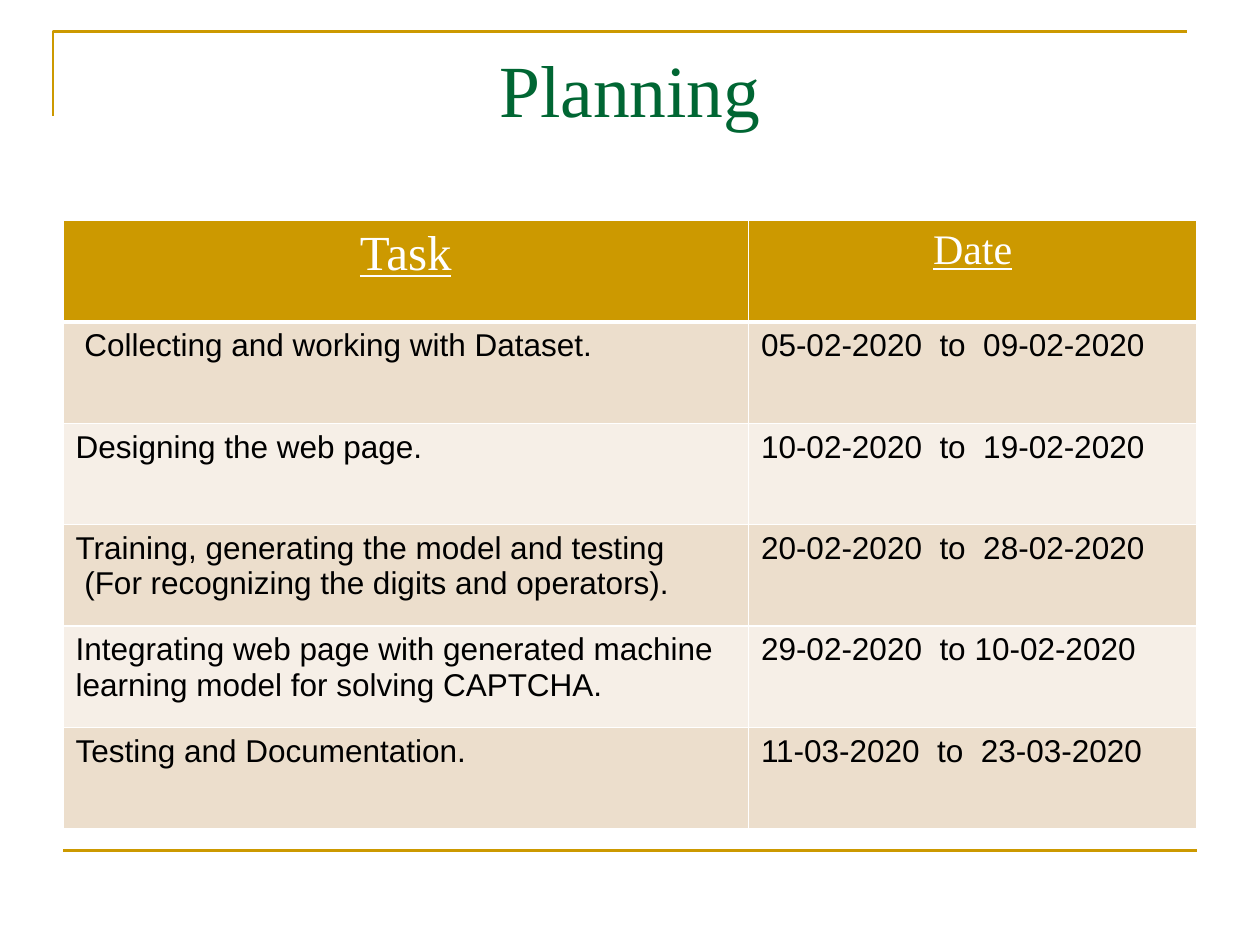
import pptx
import pptx.dml.color
import pptx.enum.shapes
import pptx.enum.text
import pptx.oxml
import pptx.oxml.ns
import pptx.util
from pptx.util import Inches

COLORS = {
    "gold": "CC9900",
    "green": "006633",
    "white": "FFFFFF",
    "black": "000000",
    "sand": "ECDECC",
    "cream": "F6EFE7",
}
SERIF, SANS = "Times New Roman", "Arial"
CENTER = pptx.enum.text.PP_ALIGN.CENTER
LEFT = pptx.enum.text.PP_ALIGN.LEFT

SCHEDULE = [
    (" Collecting and working with Dataset.", "05-02-2020  to  09-02-2020"),
    ("Designing the web page.", "10-02-2020  to  19-02-2020"),
    ("Training, generating the model and testing\n (For recognizing the digits and operators).",
     "20-02-2020  to  28-02-2020"),
    ("Integrating web page with generated machine  learning model for solving CAPTCHA.",
     "29-02-2020  to 10-02-2020"),
    ("Testing and Documentation.", "11-03-2020  to  23-03-2020"),
]


class PlanningSlide:
    """Draws styled elements on the current slide."""

    def __init__(self, slide):
        self.slide = slide

    def color(self, name):
        return pptx.dml.color.RGBColor.from_string(COLORS[name])

    def add_text(self, frame, text, size, font, color, align=LEFT, underline=False):
        frame.word_wrap = True
        for index, line in enumerate(text.split("\n")):
            paragraph = frame.add_paragraph() if index else frame.paragraphs[0]
            paragraph.alignment = align
            run = paragraph.add_run()
            run.text = line
            run.font.size = pptx.util.Pt(size)
            run.font.name = font
            run.font.underline = underline
            run.font.color.rgb = self.color(color)

    def stroke(self, shape):
        shape.line.color.rgb = self.color("gold")
        shape.line.width = pptx.util.Pt(1.5)

    def corner(self, points):
        start, *rest = [(Inches(x), Inches(y)) for x, y in points]
        builder = self.slide.shapes.build_freeform(*start)
        builder.add_line_segments(rest, close=False)
        bracket = builder.convert_to_shape()
        bracket.fill.background()
        bracket.shadow.inherit = False
        self.stroke(bracket)

    def rule(self, left, right, y):
        footer_rule = self.slide.shapes.add_connector(
            pptx.enum.shapes.MSO_CONNECTOR.STRAIGHT,
            Inches(left), Inches(y), Inches(right), Inches(y))
        self.stroke(footer_rule)
        properties = footer_rule._element.spPr
        properties.append(properties.makeelement(pptx.oxml.ns.qn("a:effectLst"), {}))

    def title(self, text, left, top, width, height):
        heading = self.slide.shapes.add_textbox(
            Inches(left), Inches(top), Inches(width), Inches(height))
        self.add_text(heading.text_frame, text, 42, SERIF, "green", CENTER)

    def border(self, cell, widths):
        properties = cell._tc.get_or_add_tcPr()
        for side, points in widths.items():
            properties.append(pptx.oxml.parse_xml(
                f'<a:ln{side} {pptx.oxml.ns.nsdecls("a")} w="{pptx.util.Pt(points)}">'
                f'<a:solidFill><a:srgbClr val="{COLORS["white"]}"/></a:solidFill></a:ln{side}>'))

    def cell(self, cell, text, fill, widths, **style):
        self.border(cell, widths)
        cell.fill.solid()
        cell.fill.fore_color.rgb = self.color(fill)
        self.add_text(cell.text_frame, text, **style)

    def table(self, headings, rows, left, top, column_widths, height):
        plan = self.slide.shapes.add_table(
            len(rows) + 1, len(headings), Inches(left), Inches(top),
            Inches(sum(column_widths)), Inches(height)).table
        for column, width in zip(plan.columns, column_widths):
            column.width = Inches(width)
        for c, (heading, size) in enumerate(headings):
            self.cell(plan.cell(0, c), heading, "gold", {"L": 1, "R": 1, "T": 1, "B": 3},
                      size=size, font=SERIF, color="white", align=CENTER, underline=True)
        for r, row in enumerate(rows, start=1):
            widths = {"L": 1, "R": 1, "T": 3 if r == 1 else 1, "B": 1}
            for c, text in enumerate(row):
                self.cell(plan.cell(r, c), text, "sand" if r % 2 else "cream", widths,
                          size=18, font=SANS, color="black")


def main():
    deck = pptx.Presentation()
    deck.slide_width, deck.slide_height = Inches(10), Inches(7.5)
    planning = PlanningSlide(deck.slides.add_slide(deck.slide_layouts[6]))
    planning.corner([(0.42, 0.92), (0.42, 0.25), (9.42, 0.25)])
    planning.rule(0.5, 9.5, 6.75)
    planning.title("Planning", 0.5, 0.3, 9, 1.25)
    planning.table([("Task", 28), ("Date", 24)], SCHEDULE, 0.5, 1.75, (5.44, 3.56), 4.83)
    deck.save("out.pptx")


if __name__ == "__main__":
    main()
